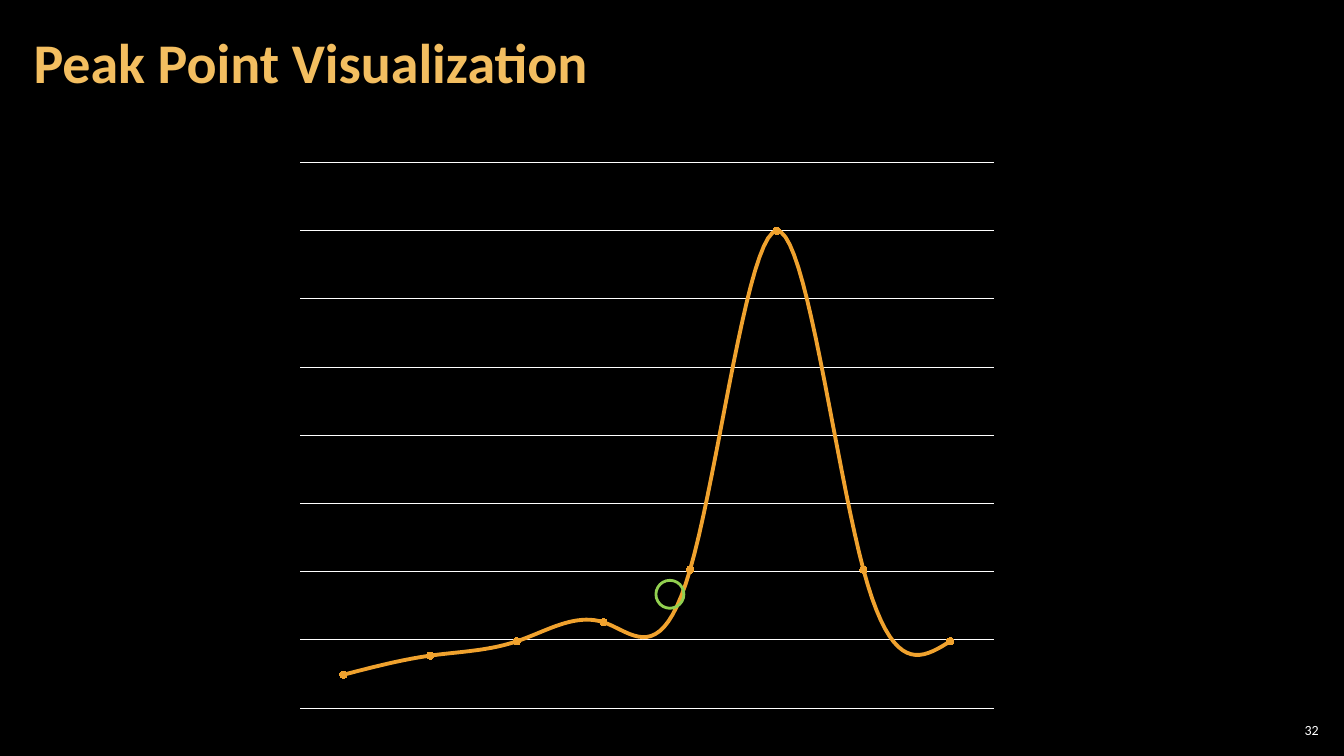
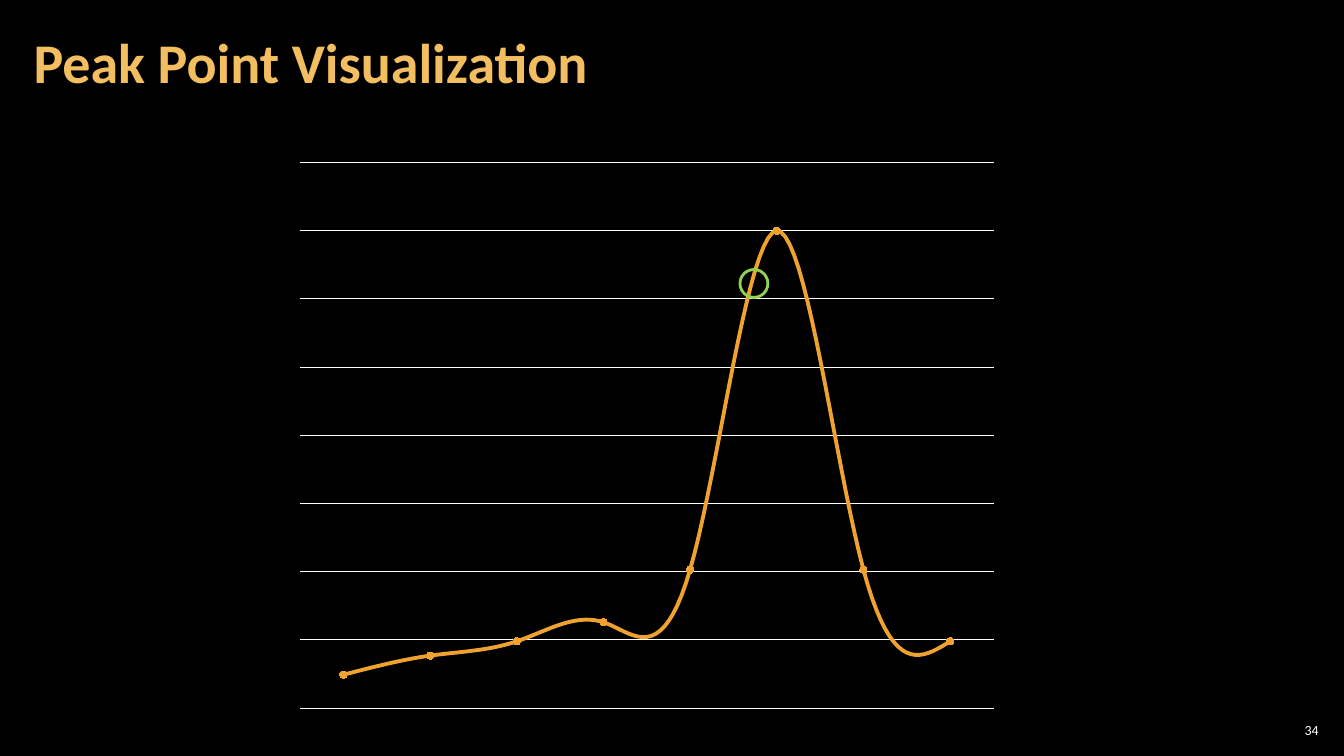
from pptx import Presentation
from pptx.chart.data import CategoryChartData
from pptx.dml.color import RGBColor
from pptx.enum.chart import XL_CHART_TYPE, XL_MARKER_STYLE
from pptx.enum.shapes import MSO_SHAPE
from pptx.enum.text import MSO_ANCHOR, PP_ALIGN
from pptx.util import Pt

LINE = XL_CHART_TYPE.LINE_MARKERS
DOT = XL_MARKER_STYLE.CIRCLE
DONUT = MSO_SHAPE.DONUT
MIDDLE = MSO_ANCHOR.MIDDLE
LEFT, RIGHT = PP_ALIGN.LEFT, PP_ALIGN.RIGHT

BLACK = RGBColor(0x00, 0x00, 0x00)
WHITE = RGBColor(0xFF, 0xFF, 0xFF)
GOLD = RGBColor(0xF3, 0xBE, 0x60)
AMBER = RGBColor(0xF0, 0xA2, 0x2E)
GREEN = RGBColor(0x92, 0xD0, 0x50)
FONT = "Calibri"

NAMES = ["1", "2", "3", "4", "5"]
CURVE = [7, 11, 14, 18, 29, 100, 29, 14]
STEP = 14.29  # gap between grid lines
STEPS = 8

# Page number and place of the ring on the curve
PAGES = [("32", 468, 414), ("34", 528, 192)]


class Deck:
    def __init__(self):
        self.prs = Presentation()
        self.prs.slide_width, self.prs.slide_height = Pt(960), Pt(540)
        self.slide = None

    def page(self, title, number):
        self.slide = self.prs.slides.add_slide(self.prs.slide_layouts[6])
        fill = self.slide.background.fill
        fill.solid()
        fill.fore_color.rgb = BLACK
        self.text(number, (911, 514, 34, 15), 10, WHITE, side=3, align=RIGHT)
        self.text(title, (15, 3, 754, 87), 40, GOLD, side=9, bold=True, space=0.9)

    def text(self, words, box, size, color, side, align=LEFT, bold=False, space=1.0):
        frame = self.slide.shapes.add_textbox(*map(Pt, box)).text_frame
        frame.word_wrap = True
        frame.vertical_anchor = MIDDLE
        frame.margin_left = frame.margin_right = Pt(side)
        frame.margin_top = frame.margin_bottom = Pt(3)
        frame.text = words
        para = frame.paragraphs[0]
        para.alignment = align
        para.line_spacing = space
        font = para.runs[0].font
        font.name, font.size, font.bold = FONT, Pt(size), bold
        font.color.rgb = color

    def chart(self, names, values, box):
        data = CategoryChartData()
        data.categories = names
        data.add_series("Series 1", values)
        chart = self.slide.shapes.add_chart(LINE, *map(Pt, box), data).chart
        chart.has_legend = chart.has_title = False
        chart.font.name, chart.font.size = FONT, Pt(10)
        chart.font.color.rgb = WHITE

        # Hidden axes with white grid lines
        chart.category_axis.visible = False
        axis = chart.value_axis
        axis.visible = False
        axis.minimum_scale, axis.maximum_scale = 0, STEP * STEPS
        axis.major_unit = STEP
        axis.has_major_gridlines = True
        grid = axis.major_gridlines.format.line
        grid.color.rgb, grid.width = WHITE, Pt(0.75)

        # Smooth curve with round markers
        plot = chart.plots[0]
        plot.vary_by_categories = False
        curve = plot.series[0]
        curve.smooth = True
        curve.format.line.color.rgb = AMBER
        curve.format.line.width = Pt(2.75)
        mark = curve.marker
        mark.style, mark.size = DOT, 5
        mark.format.fill.solid()
        mark.format.fill.fore_color.rgb = AMBER
        mark.format.line.fill.background()

    def ring(self, left, top, size=21):
        ring = self.slide.shapes.add_shape(DONUT, Pt(left), Pt(top), Pt(size), Pt(size))
        ring.adjustments[0] = 0.05
        ring.shadow.inherit = False
        ring.fill.solid()
        ring.fill.fore_color.rgb = GREEN
        ring.line.color.rgb, ring.line.width = GREEN, Pt(1)


def main():
    deck = Deck()
    for number, left, top in PAGES:
        deck.page("Peak Point Visualization", number)
        deck.chart(NAMES, CURVE, (204, 108, 516, 406))
        deck.ring(left, top)
    deck.prs.save("out.pptx")


if __name__ == "__main__":
    main()
